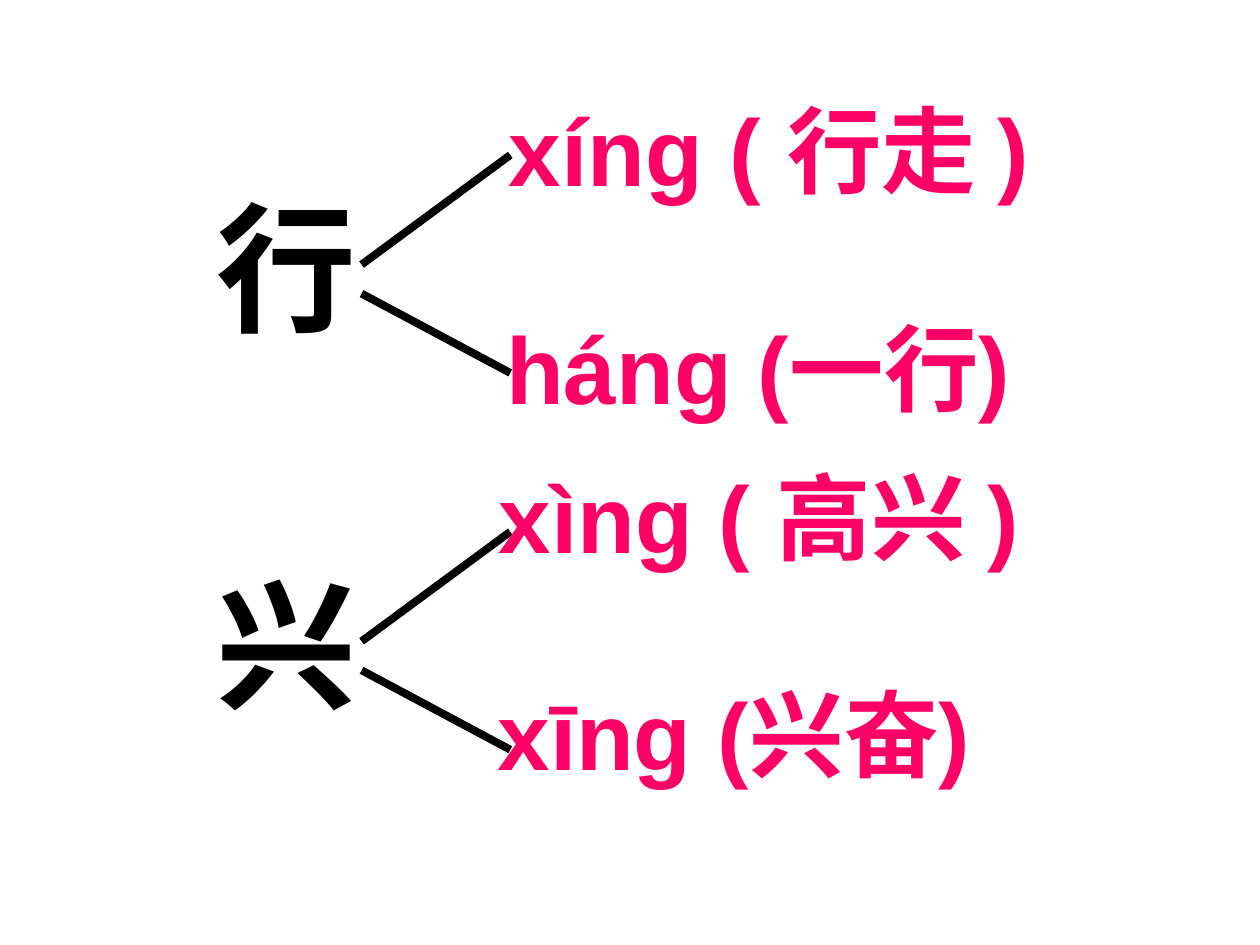
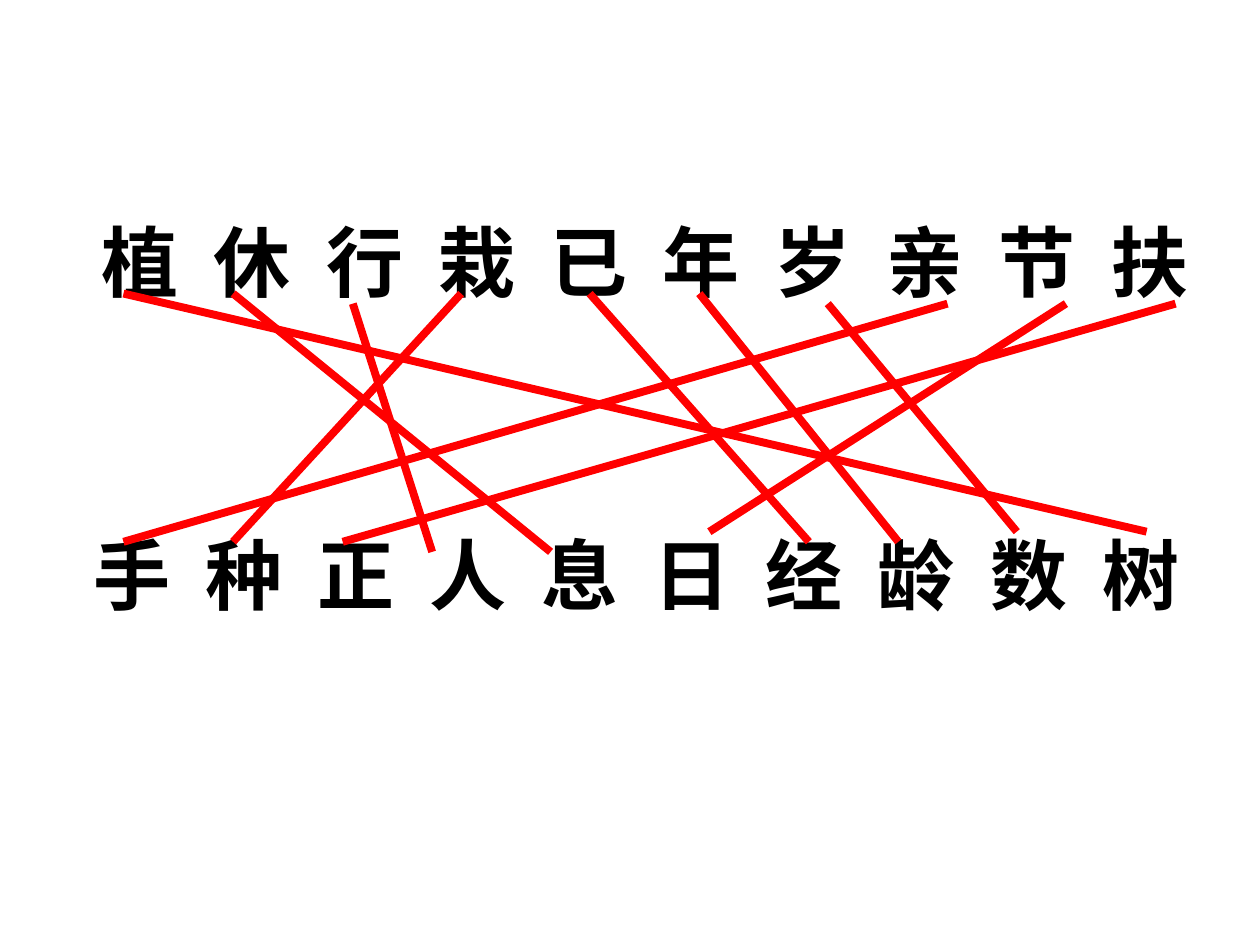
from lxml import etree
from pptx import Presentation
from pptx.dml.color import RGBColor
from pptx.enum.lang import MSO_LANGUAGE_ID
from pptx.enum.shapes import MSO_CONNECTOR
from pptx.enum.text import MSO_AUTO_SIZE
from pptx.oxml.ns import qn
from pptx.util import Emu, Pt

STRAIGHT = MSO_CONNECTOR.STRAIGHT
FIT_SHAPE = MSO_AUTO_SIZE.SHAPE_TO_FIT_TEXT
CHINESE = MSO_LANGUAGE_ID.SIMPLIFIED_CHINESE
PX = 9144
BLANK = 6
COLORS = {"ink": "000000", "reading": "FF0066", "match": "FF0000"}
FONT = {"name": "Arial", "bold": True, "language_id": CHINESE}
LINE_WIDTH = 4.5
TAB_STEP = 89


class Deck:
    """Holds the shared style and the current slide."""

    def __init__(self, width, height):
        self.prs = Presentation()
        self.prs.slide_width = Emu(width * PX)
        self.prs.slide_height = Emu(height * PX)
        self.s = None

    def slide(self):
        self.s = self.prs.slides.add_slide(self.prs.slide_layouts[BLANK])

    def text(self, text, box, size, color="ink"):
        sp = self.s.shapes.add_textbox(*(Emu(v * PX) for v in box))
        tf = sp.text_frame
        tf.word_wrap = True
        tf.auto_size = FIT_SHAPE
        p = tf.paragraphs[0]
        r = p.add_run()
        r.text = text
        for name, value in {**FONT, "size": Pt(size)}.items():
            setattr(r.font, name, value)
        r.font.color.rgb = RGBColor.from_string(COLORS[color])
        return p

    def row(self, characters, box, size):
        p = self.text("\t".join(characters), box, size)
        tabs = etree.SubElement(p._p.get_or_add_pPr(), qn("a:tabLst"))
        for i in range(1, len(characters)):
            etree.SubElement(tabs, qn("a:tab"), pos=str(i * TAB_STEP * PX), algn="l")

    def line(self, start, end, color="ink"):
        c = self.s.shapes.add_connector(STRAIGHT, *(Emu(v * PX) for v in (*start, *end)))
        c.line.width = Pt(LINE_WIDTH)
        c.line.color.rgb = RGBColor.from_string(COLORS[color])
        etree.SubElement(c._element.spPr, qn("a:effectLst"))


def readings_slide(deck):
    groups = [
        ("行", 139, [("xínɡ ( 行走 )", 394, 68, 552), ("hánɡ (一行)", 392, 241, 456)]),
        ("兴", 438, [("xìnɡ ( 高兴 )", 386, 359, 552), ("xīnɡ (兴奋)", 385, 532, 431)]),
    ]
    branches = [(71, -16), (94, 157)]
    deck.slide()
    for character, top, readings in groups:
        deck.text(character, (162, top, 131, 144), 80)
        for start, end in branches:
            deck.line((287, top + start), (405, top + end))
        for reading, left, y, width in readings:
            deck.text(reading, (left, y, width, 100), 54, "reading")


def matching_slide(deck):
    matches = [
        ((98, 233), (910, 422)),
        ((185, 233), (437, 438)),
        ((280, 241), (343, 438)),
        ((366, 233), (185, 430)),
        ((468, 233), (642, 430)),
        ((555, 233), (713, 430)),
        ((657, 241), (807, 422)),
        ((752, 241), (98, 430)),
        ((846, 241), (563, 422)),
        ((933, 241), (272, 430)),
    ]
    deck.slide()
    deck.row("植休行栽已年岁亲节扶", (71, 165, 890, 84), 44)
    deck.row("手种正人息日经龄数树", (64, 414, 890, 84), 44)
    for start, end in matches:
        deck.line(start, end, "match")


def main():
    deck = Deck(1000, 750)
    readings_slide(deck)
    matching_slide(deck)
    deck.prs.save("out.pptx")


if __name__ == "__main__":
    main()
